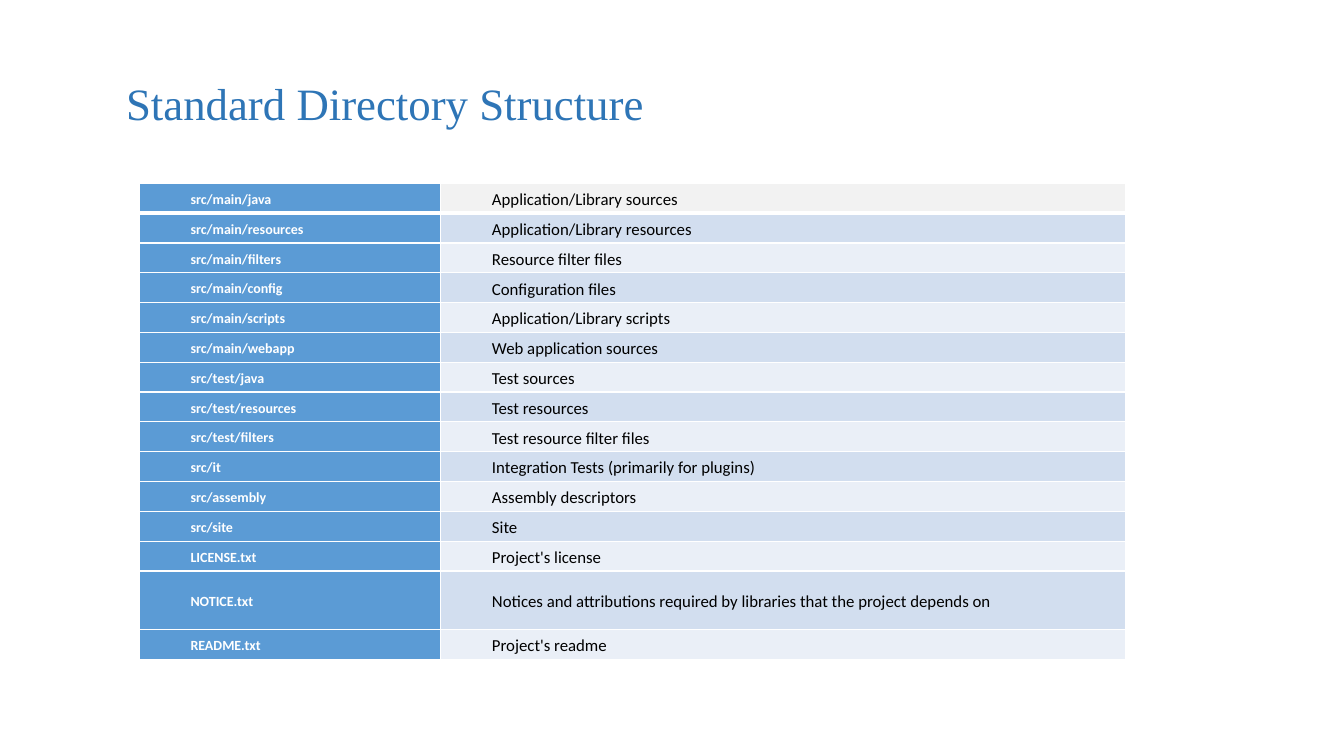
"""Build a slide that lists the standard directory structure in a table."""
from lxml import etree
from pptx import Presentation
from pptx.dml.color import RGBColor
from pptx.enum.text import MSO_ANCHOR, MSO_AUTO_SIZE, PP_ALIGN
from pptx.oxml.ns import qn
from pptx.util import Inches, Pt

MIDDLE = MSO_ANCHOR.MIDDLE
LEFT = PP_ALIGN.LEFT
FIT_SHAPE = MSO_AUTO_SIZE.SHAPE_TO_FIT_TEXT
TITLE_ONLY = 5
TABLE_HEIGHT = 4.72
TALL_ROW = 13
TALL_HEIGHT = 0.58
COLUMN_WIDTHS = (2.99, 6.79)
ENTRIES = [
    ("src/main/java", "Application/Library sources"),
    ("src/main/resources", "Application/Library resources"),
    ("src/main/filters", "Resource filter files"),
    ("src/main/config", "Configuration files"),
    ("src/main/scripts", "Application/Library scripts"),
    ("src/main/webapp", "Web application sources"),
    ("src/test/java", "Test sources"),
    ("src/test/resources", "Test resources"),
    ("src/test/filters", "Test resource filter files"),
    ("src/it", "Integration Tests (primarily for plugins)"),
    ("src/assembly", "Assembly descriptors"),
    ("src/site", "Site"),
    ("LICENSE.txt", "Project's license"),
    ("NOTICE.txt", "Notices and attributions required by libraries that the project depends on"),
    ("README.txt", "Project's readme"),
]


def add_span(para, text, font, size, color, bold=False):
    span = para.add_run()
    span.text = text
    span.font.name = font
    span.font.size = Pt(size)
    span.font.bold = bold
    span.font.color.rgb = RGBColor.from_string(color)


def add_border(cell, side, points, color):
    line = etree.SubElement(cell._tc.get_or_add_tcPr(), qn(f"a:ln{side}"), w=str(Pt(points)))
    fill = etree.SubElement(line, qn("a:solidFill"))
    etree.SubElement(fill, qn("a:srgbClr"), val=color)


deck = Presentation()
deck.slide_width = Inches(13.33)
deck.slide_height = Inches(7.5)
page = deck.slides.add_slide(deck.slide_layouts[TITLE_ONLY])

title = page.shapes.title
title.left, title.top = Inches(1.15), Inches(0.7)
title.width, title.height = Inches(5.39), Inches(0.64)
title.text_frame.word_wrap = False
title.text_frame.auto_size = FIT_SHAPE
title.text_frame.vertical_anchor = MIDDLE
heading = title.text_frame.paragraphs[0]
heading.alignment = LEFT
add_span(heading, "Standard Directory Structure", "Times New Roman", 32, "2E75B6")

table = page.shapes.add_table(
    len(ENTRIES), len(COLUMN_WIDTHS), Inches(1.38), Inches(1.82),
    Inches(sum(COLUMN_WIDTHS)), Inches(TABLE_HEIGHT)).table
table.first_row = False
table.horz_banding = False
for column, width in zip(table.columns, COLUMN_WIDTHS):
    column.width = Inches(width)

row_height = (TABLE_HEIGHT - TALL_HEIGHT) / (len(ENTRIES) - 1)
for row, entry in enumerate(ENTRIES):
    table.rows[row].height = Inches(TALL_HEIGHT if row == TALL_ROW else row_height)
    band = "F2F2F2" if row == 0 else ("EAEFF7", "D2DEEF")[row % 2]
    styles = ((10, "FFFFFF", True, "5B9BD5"), (12, "000000", False, band))
    for column, (text, (size, color, bold, fill)) in enumerate(zip(entry, styles)):
        cell = table.cell(row, column)
        cell.vertical_anchor = MIDDLE
        cell.margin_left = cell.margin_right = Inches(0.01)
        cell.margin_top = cell.margin_bottom = Inches(0.01)
        for side in "LRTB":
            header_edge = (row, side) in ((0, "B"), (1, "T"))
            add_border(cell, side, 3 if header_edge else 1, "FFFFFF")
        cell.fill.solid()
        cell.fill.fore_color.rgb = RGBColor.from_string(fill)
        para = cell.text_frame.paragraphs[0]
        para.line_spacing = 1.15
        para.space_after = Pt(10)
        indents = para._p.get_or_add_pPr()
        indents.set("marL", "0")
        indents.set("indent", str(Inches(0.5)))
        add_span(para, text, "Calibri", size, color, bold)

deck.save("out.pptx")
